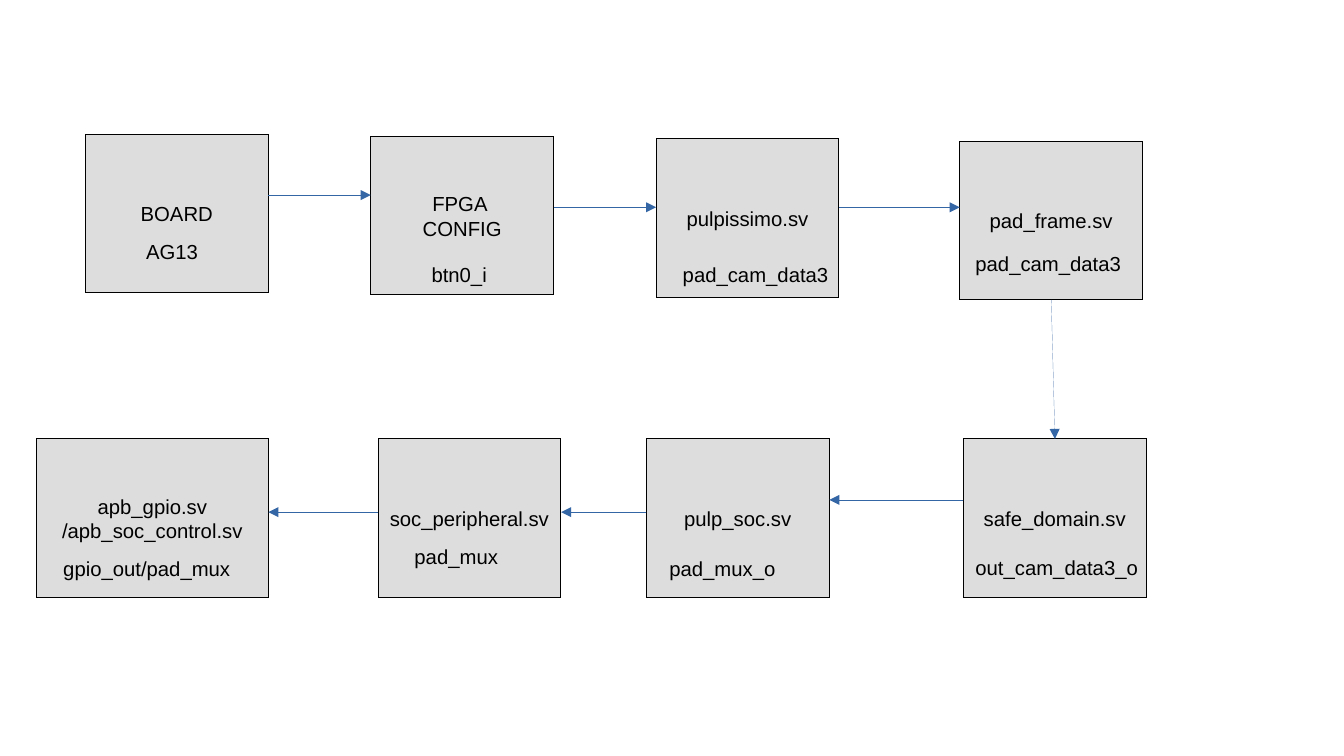
import pptx
import pptx.util
import pptx.dml.color
import pptx.enum.shapes
import pptx.enum.text
import pptx.oxml.ns
import lxml.etree
from dataclasses import dataclass

TOP_ROW = [
    {"left": 7, "title": ["BOARD"], "signal": ("AG13", 11, 19.1, 7)},
    {"left": 30.4, "title": ["FPGA ", "CONFIG"], "signal": ("btn0_i", 34.4, 21, 7)},
    {"left": 53.8, "title": ["pulpissimo.sv"], "signal": ("pad_cam_data3", 55, 21, 14)},
    {"left": 78.7, "title": ["pad_frame.sv"], "signal": ("pad_cam_data3", 79, 20.1, 14)},
]
BOTTOM_ROW = [
    {"left": 79, "title": ["safe_domain.sv"], "signal": ("out_cam_data3_o", 79, 45, 15.4)},
    {"left": 53, "title": ["pulp_soc.sv"], "signal": ("pad_mux_o", 53.9, 45.1, 10.7)},
    {"left": 31, "title": ["soc_peripheral.sv"], "signal": ("pad_mux", 33, 44.1, 8.9)},
    {"left": 3, "title": ["apb_gpio.sv", "/apb_soc_control.sv"], "width": 19,
     "signal": ("gpio_out/pad_mux", 4.2, 45.1, 15.8)},
]
TOP_ARROW_ROWS = [16, 17, 17]
BOTTOM_ARROW_ROWS = [41, 42, 42]
TOP_START, TOP_STEP, BOTTOM_START = 11, 0.2, 36
BLOCK_WIDTH, BLOCK_HEIGHT, SIGNAL_HEIGHT = 15, 13, 2.9


@dataclass(frozen=True)
class Theme:
    block: str = "DDDDDD"
    ink: str = "000000"
    arrow: str = "3465A4"
    font: str = "Arial"
    size: int = 12


THEME = Theme()


def cells(count):
    return pptx.util.Inches(round(count * 0.1, 2))


def color(value):
    return pptx.dml.color.RGBColor.from_string(value)


def draw_hairline(shape, value):
    shape.line.color.rgb = color(value)
    outline = shape.element.spPr.find(pptx.oxml.ns.qn("a:ln"))
    outline.set("w", "0")
    return outline


def write(shape, lines, align, anchor, grow=False):
    frame = shape.text_frame
    frame.word_wrap = False
    frame.vertical_anchor = anchor
    if grow:
        frame.auto_size = pptx.enum.text.MSO_AUTO_SIZE.SHAPE_TO_FIT_TEXT
    for index, line in enumerate(lines):
        para = frame.paragraphs[0] if index == 0 else frame.add_paragraph()
        para.alignment = align
        span = para.add_run()
        span.text = line
        span.font.name = THEME.font
        span.font.size = pptx.util.Pt(THEME.size)
        span.font.color.rgb = color(THEME.ink)


def add_block(page, block, top):
    box = page.shapes.add_shape(
        pptx.enum.shapes.MSO_SHAPE.RECTANGLE, cells(block["left"]), cells(top),
        cells(block.get("width", BLOCK_WIDTH)), cells(BLOCK_HEIGHT))
    box.shadow.inherit = False
    box.fill.solid()
    box.fill.fore_color.rgb = color(THEME.block)
    draw_hairline(box, THEME.ink)
    write(box, block["title"], pptx.enum.text.PP_ALIGN.CENTER,
          pptx.enum.text.MSO_ANCHOR.MIDDLE)
    return box


def add_signal(page, text, left, top, width):
    box = page.shapes.add_textbox(cells(left), cells(top), cells(width), cells(SIGNAL_HEIGHT))
    write(box, [text], pptx.enum.text.PP_ALIGN.LEFT,
          pptx.enum.text.MSO_ANCHOR.TOP, grow=True)


def add_arrow(page, start, end):
    arrow = page.shapes.add_connector(
        pptx.enum.shapes.MSO_CONNECTOR.STRAIGHT, *start, *end)
    outline = draw_hairline(arrow, THEME.arrow)
    head = lxml.etree.SubElement(outline, pptx.oxml.ns.qn("a:tailEnd"))
    head.set("type", "triangle")
    lxml.etree.SubElement(arrow.element.spPr, pptx.oxml.ns.qn("a:effectLst"))
    return arrow


def main():
    deck = pptx.Presentation()
    deck.slide_width = pptx.util.Inches(11.02)
    deck.slide_height = pptx.util.Inches(6.2)
    page = deck.slides.add_slide(deck.slide_layouts[6])

    top_boxes = [add_block(page, block, TOP_START + TOP_STEP * index)
                 for index, block in enumerate(TOP_ROW)]
    bottom_boxes = [add_block(page, block, BOTTOM_START) for block in BOTTOM_ROW]
    for block in TOP_ROW + BOTTOM_ROW:
        add_signal(page, *block["signal"])

    for row, source, target in zip(TOP_ARROW_ROWS, top_boxes, top_boxes[1:]):
        add_arrow(page, (source.left + source.width, cells(row)), (target.left, cells(row)))
    for row, source, target in zip(BOTTOM_ARROW_ROWS, bottom_boxes, bottom_boxes[1:]):
        add_arrow(page, (source.left, cells(row)), (target.left + target.width, cells(row)))

    source, target = top_boxes[-1], bottom_boxes[0]
    turn = add_arrow(page, (source.left, source.top), (target.left, target.top))
    turn.begin_connect(source, 2)
    turn.end_connect(target, 0)

    deck.save("out.pptx")


if __name__ == "__main__":
    main()
